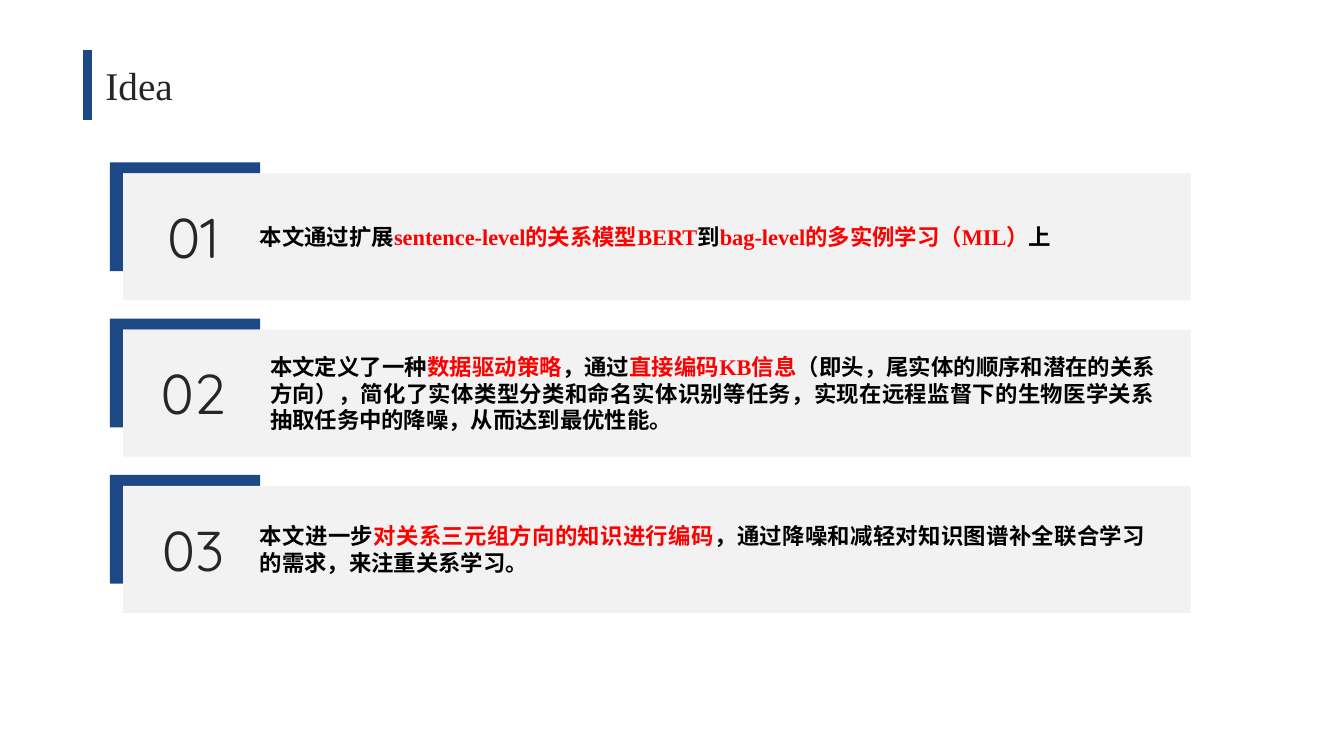
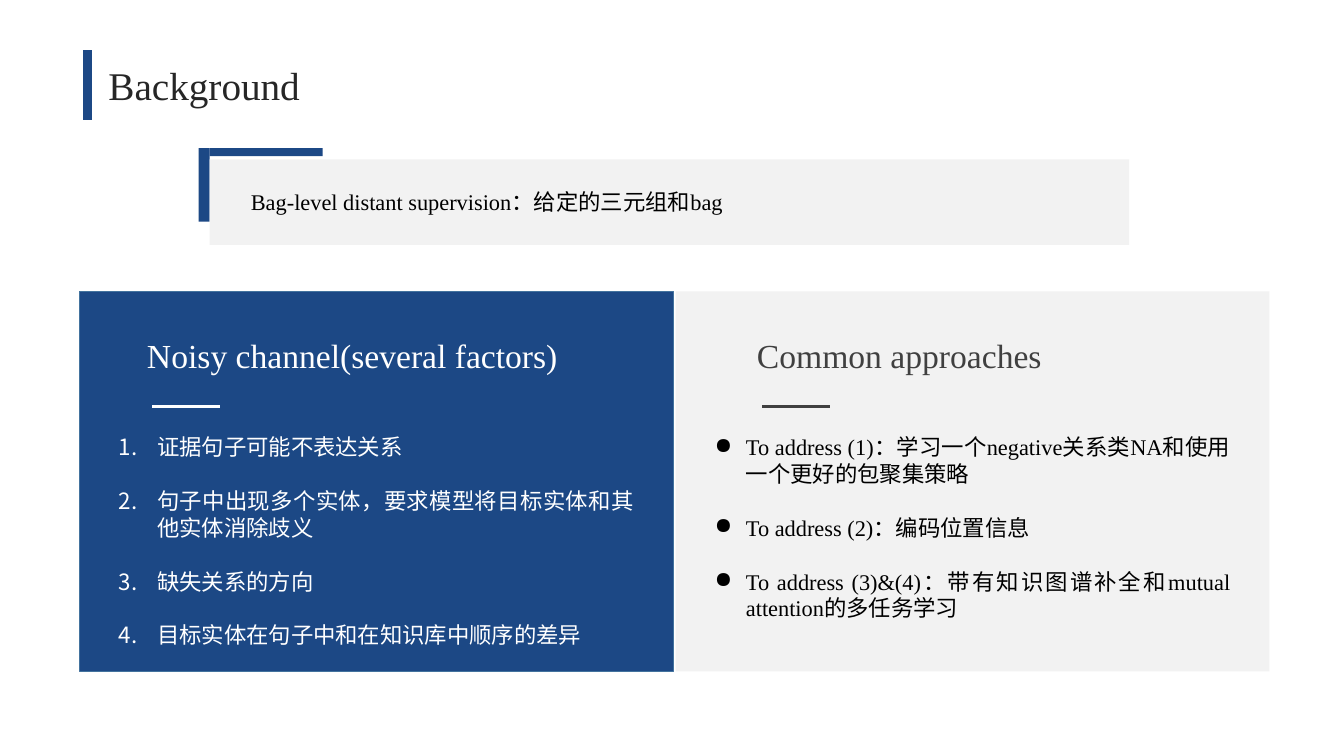
"""Build the Idea and Background slides."""
from dataclasses import dataclass
import lxml.etree
import pptx
import pptx.dml.color
import pptx.enum.shapes
import pptx.enum.text
import pptx.oxml.ns
import pptx.util

Inches = pptx.util.Inches
Pt = pptx.util.Pt
Align = pptx.enum.text.PP_ALIGN
Anchor = pptx.enum.text.MSO_ANCHOR


@dataclass(frozen=True)
class Theme:
    """Colours, typefaces and type sizes of the deck."""
    accent: str = "1C4885"
    outline: str = "43739E"
    panel: str = "F2F2F2"
    title: str = "262626"
    heading: str = "404040"
    ink: str = "000000"
    light: str = "FFFFFF"
    emphasis: str = "FF0000"
    serif: str = "Times New Roman"
    rounded: str = "Quicksand"
    title_size: int = 28
    number_size: int = 40
    heading_size: int = 24
    body_size: int = 16
    line_height: float = 0.27
    list_gap: float = 19.2


THEME = Theme()


@dataclass(frozen=True)
class Box:
    """A rectangle in inches."""
    left: float
    top: float
    width: float
    height: float

    def lengths(self):
        """Return the four sides as slide lengths."""
        return [Inches(side) for side in (self.left, self.top, self.width, self.height)]


def rgb(color):
    """Turn a hex string into a colour."""
    return pptx.dml.color.RGBColor.from_string(color)


def apply(target, formats):
    """Set each format value on the target."""
    for name, value in formats.items():
        setattr(target, name, value)


def write(paragraph, spans, size, color, face=THEME.serif, bold=False, align=Align.LEFT):
    """Fill a paragraph with spans, every second one emphasised."""
    paragraph.alignment = align
    for index, text in enumerate(spans):
        run = paragraph.add_run()
        run.text = text
        apply(run.font, {"size": Pt(size), "name": face, "bold": bold})
        run.font.color.rgb = rgb(THEME.emphasis if index % 2 else color)


def add_text(slide, box, spans, size, color, anchor=Anchor.TOP, **style):
    """Add a wrapped text box and return its frame."""
    frame = slide.shapes.add_textbox(*box.lengths()).text_frame
    apply(frame, {"word_wrap": True, "vertical_anchor": anchor})
    write(frame.paragraphs[0], spans, size, color, **style)
    return frame


def add_block(slide, box, fill, outline=None):
    """Add a flat rectangle."""
    block = slide.shapes.add_shape(pptx.enum.shapes.MSO_SHAPE.RECTANGLE, *box.lengths())
    block.shadow.inherit = False
    block.fill.solid()
    block.fill.fore_color.rgb = rgb(fill)
    if outline:
        block.line.color.rgb = rgb(outline)
        block.line.width = Pt(1)
    else:
        block.line.fill.background()


def add_rule(slide, start, end, color, weight):
    """Add a straight line without shadow."""
    rule = slide.shapes.add_connector(
        pptx.enum.shapes.MSO_CONNECTOR.STRAIGHT, *map(Inches, start + end))
    rule.line.color.rgb = rgb(color)
    rule.line.width = Pt(weight)
    lxml.etree.SubElement(rule.element.spPr, pptx.oxml.ns.qn("a:effectLst"))


def add_titled_slide(deck, title, box):
    """Add a slide with the accent bar and its title."""
    slide = deck.slides.add_slide(deck.slide_layouts[5])
    holder = slide.shapes.title
    apply(holder, dict(zip(("left", "top", "width", "height"), box.lengths())))
    apply(holder.text_frame, {"word_wrap": True, "vertical_anchor": Anchor.MIDDLE})
    write(holder.text_frame.paragraphs[0], [title], THEME.title_size, THEME.title,
          align=Align.CENTER)
    add_rule(slide, (0.87, 0.5), (0.87, 1.19), THEME.accent, 6)
    return slide


def add_corner_panel(slide, box, top_bar, side_bar, rise=0.11):
    """Add a pale panel with an accent corner at its upper left."""
    top = box.top - rise
    side_width, side_height = side_bar
    add_block(slide, Box(box.left - side_width, top, side_width, side_height), THEME.accent)
    add_block(slide, Box(box.left, top, *top_bar), THEME.accent)
    add_block(slide, box, THEME.panel)


def add_idea(slide, box, number, indent, lines, spans):
    """Add one numbered idea, centred on the height of its panel."""
    add_corner_panel(slide, box, (1.36, 0.11), (0.13, 1.08))
    middle = box.top + box.height / 2
    add_text(slide, Box(box.left + 0.13, middle - 0.39, 1.13, 0.77), [f"{number:02}"],
             THEME.number_size, THEME.title, Anchor.MIDDLE,
             face=THEME.rounded, align=Align.CENTER)
    height = 0.1 + THEME.line_height * lines
    add_text(slide, Box(box.left + indent, middle - height / 2, 8.98, height), spans,
             THEME.body_size, THEME.ink, Anchor.MIDDLE, bold=True, align=Align.JUSTIFY)


def add_list(slide, box, items, color, marker, attributes, indent):
    """Add a list with hanging markers."""
    frame = add_text(slide, box, items[:1], THEME.body_size, color, align=Align.JUSTIFY)
    for item in items[1:]:
        write(frame.add_paragraph(), [item], THEME.body_size, color, align=Align.JUSTIFY)
    for paragraph in frame.paragraphs:
        paragraph.space_after = Pt(THEME.list_gap)
        properties = paragraph._p.get_or_add_pPr()
        properties.set("marL", str(Inches(indent)))
        properties.set("indent", str(-Inches(indent)))
        lxml.etree.SubElement(properties, pptx.oxml.ns.qn(marker), attributes)


def add_column(slide, box, heading, inset, fill, heading_color, outline=None):
    """Add a panel with an underlined heading and return the box for its list."""
    add_block(slide, box, fill, outline)
    left = box.left + inset
    add_text(slide, Box(left, box.top + 0.38, box.width - inset - 0.15, 0.5), [heading],
             THEME.heading_size, heading_color)
    rule_top = box.top + 1.14
    add_rule(slide, (left + 0.15, rule_top), (left + 0.82, rule_top), heading_color, 2)
    return Box(box.left + 0.29, box.top + 1.36, 5.31, 2.25)


IDEAS = [
    (1.26, 1, ["本文通过扩展", "sentence-level的关系模型BERT", "到",
               "bag-level的多实例学习（MIL）", "上"]),
    (1.36, 3, ["本文定义了一种", "数据驱动策略", "，通过", "直接编码KB信息",
               "（即头，尾实体的顺序和潜在的关系方向），简化了实体类型分类和命名实体识别等任务，"
               "实现在远程监督下的生物医学关系抽取任务中的降噪，从而达到最优性能。"]),
    (1.26, 2, ["本文进一步", "对关系三元组方向的知识进行编码",
               "，通过降噪和减轻对知识图谱补全联合学习的需求，来注重关系学习。"]),
]
FACTORS = ["证据句子可能不表达关系",
           "句子中出现多个实体，要求模型将目标实体和其他实体消除歧义",
           "缺失关系的方向",
           "目标实体在句子中和在知识库中顺序的差异"]
APPROACHES = ["To address (1)：学习一个negative关系类NA和使用一个更好的包聚集策略",
              "To address (2)：编码位置信息",
              "To address (3)&(4)：带有知识图谱补全和mutual attention的多任务学习"]


def build_idea(deck):
    """Build the slide of three ideas."""
    slide = add_titled_slide(deck, "Idea", Box(0.67, 0.56, 1.42, 0.57))
    for index, idea in enumerate(IDEAS):
        add_idea(slide, Box(1.22, 1.72 + 1.55 * index, 10.59, 1.26), index + 1, *idea)


def build_background(deck):
    """Build the slide of noise factors and approaches."""
    slide = add_titled_slide(deck, "Background", Box(0.87, 0.56, 2.31, 0.57))
    setting = Box(2.08, 1.58, 9.12, 0.85)
    add_corner_panel(slide, setting, (1.12, 0.08), (0.11, 0.73))
    add_text(slide, Box(setting.left + 0.31, setting.top + 0.24, 8.56, 0.37),
             ["Bag-level distant supervision：给定的三元组和bag"],
             THEME.body_size, THEME.ink, align=Align.JUSTIFY)
    approaches = add_column(slide, Box(6.7, 2.89, 5.89, 3.77), "Common approaches", 0.71,
                            THEME.panel, THEME.heading)
    add_list(slide, approaches, APPROACHES, THEME.ink, "a:buChar", {"char": "●"}, 0.31)
    factors = add_column(slide, Box(0.79, 2.89, 5.89, 3.77), "Noisy channel(several factors)",
                         0.57, THEME.accent, THEME.light, THEME.outline)
    add_list(slide, factors, FACTORS, THEME.light, "a:buAutoNum",
             {"type": "arabicPeriod"}, 0.38)


def main():
    """Build and save the deck."""
    deck = pptx.Presentation()
    apply(deck, {"slide_width": Inches(13.33), "slide_height": Inches(7.5)})
    build_idea(deck)
    build_background(deck)
    deck.save("out.pptx")


main()
